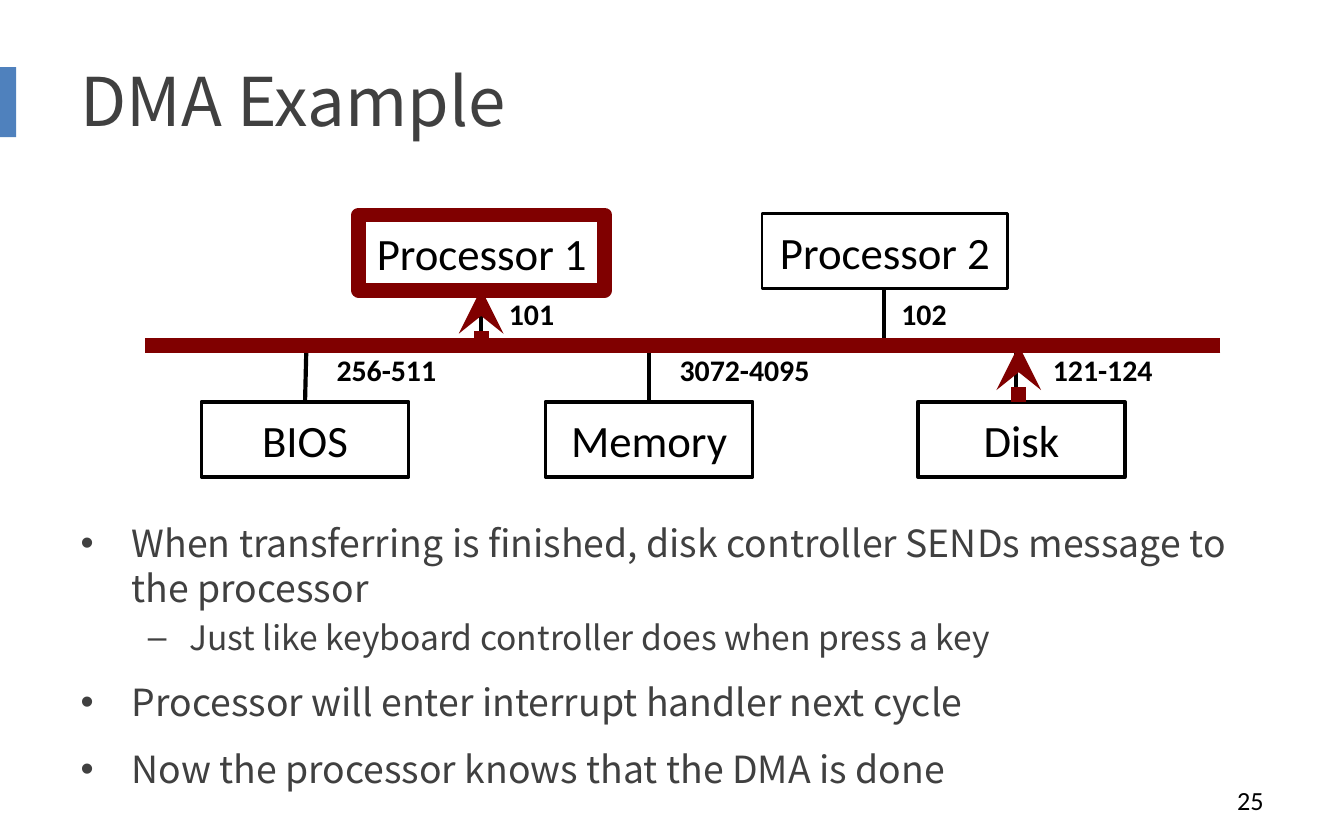
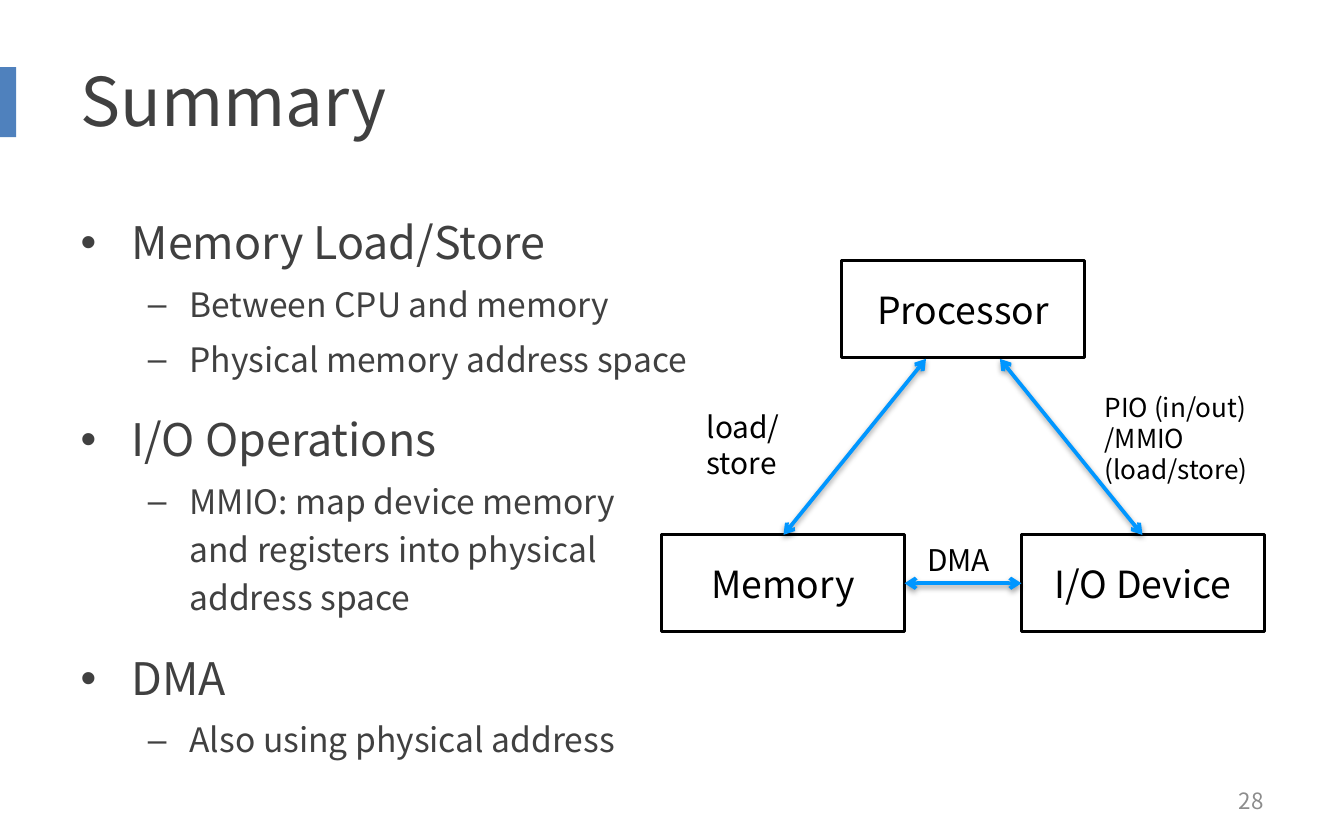
import copy

import pptx
import pptx.dml.color
import pptx.enum.shapes
import pptx.enum.text
import pptx.oxml
import pptx.oxml.ns
import pptx.util

Inches = pptx.util.Inches
Pt = pptx.util.Pt
Align = pptx.enum.text.PP_ALIGN
Anchor = pptx.enum.text.MSO_ANCHOR
qn = pptx.oxml.ns.qn

COLORS = {
    "accent": "4F81BD", "heading": "404040", "ink": "000000", "paper": "FFFFFF",
    "active": "800000", "flow": "0096FF", "muted": "8C8C8C",
}
SANS = "Noto Sans CJK SC"
LABEL = "Calibri"
SHADOW = (
    '<a:outerShdw blurRad="39370" dist="20320" dir="5400000" rotWithShape="0">'
    '<a:srgbClr val="000000"><a:alpha val="38000"/></a:srgbClr></a:outerShdw>'
)


class SlideBuilder:
    """Holds the style and the slide being built."""

    def __init__(self, deck):
        self.deck = deck
        self.page = None

    def color(self, name):
        return pptx.dml.color.RGBColor.from_string(COLORS[name])

    def new_page(self, title, number, number_style):
        self.page = self.deck.slides.add_slide(self.deck.slide_layouts[1])
        self.box(-0.06, 0.5, 0.18, 0.52, fill="accent")
        heading = self.page.shapes.title
        self.place(heading, 0.5, 0.25, 9, 0.98)
        self.set_text(heading, title, size=36, color="heading", align=Align.LEFT)
        self.label(7.17, 5.79, 2.33, 0.33, number, align=Align.RIGHT,
                   anchor=Anchor.MIDDLE, **number_style)

    def place(self, shape, left, top, width, height):
        frame = {"left": left, "top": top, "width": width, "height": height}
        for name, value in frame.items():
            setattr(shape, name, Inches(value))

    def style_para(self, para, size, color="ink", font=SANS, bold=False, **layout):
        for name, value in layout.items():
            setattr(para, name, value)
        values = {"name": font, "size": Pt(size), "bold": bold}
        for span in para.runs:
            for name, value in values.items():
                setattr(span.font, name, value)
            span.font.color.rgb = self.color(color)
        # Line breaks take the size of the text around them
        for line_break in para._p.findall(qn("a:br")):
            line_break.insert(0, copy.deepcopy(para.runs[0]._r.rPr))

    def set_text(self, shape, text, align=Align.CENTER, anchor=Anchor.MIDDLE, **style):
        frame = shape.text_frame
        frame.word_wrap = True
        frame.vertical_anchor = anchor
        frame.text = text
        for para in frame.paragraphs:
            self.style_para(para, alignment=align, **style)

    def box(self, left, top, width, height, text="", fill=None, line=None,
            weight=1.5, **style):
        box = self.page.shapes.add_shape(
            pptx.enum.shapes.MSO_SHAPE.RECTANGLE,
            Inches(left), Inches(top), Inches(width), Inches(height))
        box.shadow.inherit = False
        if fill:
            box.fill.solid()
            box.fill.fore_color.rgb = self.color(fill)
        else:
            box.fill.background()
        if line:
            box.line.color.rgb = self.color(line)
            box.line.width = Pt(weight)
        else:
            box.line.fill.background()
        if text:
            self.set_text(box, text, **style)

    def label(self, left, top, width, height, text, align=Align.LEFT,
              anchor=Anchor.TOP, **style):
        box = self.page.shapes.add_textbox(
            Inches(left), Inches(top), Inches(width), Inches(height))
        self.set_text(box, text, align=align, anchor=anchor, **style)

    def line(self, start, end, color="ink", weight=2.25, head=None, tail=None,
             shadow=""):
        line = self.page.shapes.add_connector(
            pptx.enum.shapes.MSO_CONNECTOR.STRAIGHT,
            *(Inches(value) for value in (*start, *end)))
        line.line.color.rgb = self.color(color)
        line.line.width = Pt(weight)
        for tag, kind in (("headEnd", head), ("tailEnd", tail)):
            if kind:
                line.line._ln.append(pptx.oxml.parse_xml(
                    f'<a:{tag} {pptx.oxml.ns.nsdecls("a")} type="{kind}"/>'))
        line._element.spPr.append(pptx.oxml.parse_xml(
            f'<a:effectLst {pptx.oxml.ns.nsdecls("a")}>{shadow}</a:effectLst>'))

    def bullets(self, left, top, width, height, items, size, spacing=1.0):
        body = self.page.placeholders[1]
        self.place(body, left, top, width, height)
        frame = body.text_frame
        frame.auto_size = pptx.enum.text.MSO_AUTO_SIZE.NONE
        levels = [
            {"size": size, "before": 12, "margin": 0.38, "indent": -0.38},
            {"size": 18, "before": 3.6, "margin": 0.81, "indent": -0.31},
        ]
        for index, (level, text) in enumerate(items):
            para = frame.add_paragraph() if index else frame.paragraphs[0]
            para.text = text
            look = levels[level]
            self.style_para(para, look["size"], "heading", level=level,
                            line_spacing=spacing, space_before=Pt(look["before"]))
            properties = para._p.get_or_add_pPr()
            properties.set("marL", str(Inches(look["margin"])))
            properties.set("indent", str(Inches(look["indent"])))


def build_dma_example(builder):
    builder.new_page("DMA Example", "25", {"size": 14, "font": LABEL})
    bus, device_top, processor_bottom = 2.57, 2.99, 2.15
    name_style = {"size": 24, "font": LABEL, "line": "ink"}
    address_style = {"size": 16, "font": LABEL, "bold": True, "align": Align.CENTER}

    # Bus
    builder.line((1.33, bus), (8.58, bus), weight=4.5)

    # Devices: name, box left, wire at bus, wire at box, address, address left, width
    devices = [
        ("BIOS", 1.5, 2.28, 2.27, "256-511", 2.25, 1.25),
        ("Memory", 4.06, 4.83, 4.83, "3072-4095", 4.83, 1.42),
        ("Disk", 6.83, 7.56, 7.56, "121-124", 7.58, 1.25),
    ]
    for name, left, wire_top, wire_bottom, address, address_left, width in devices:
        builder.box(left, device_top, 1.54, 0.56, name, fill="paper", weight=2,
                    **name_style)
        builder.line((wire_top, bus), (wire_bottom, device_top))
        builder.label(address_left, bus, width, 0.37, address, **address_style)

    # Processors: name, box left, box top, wire, address, address left
    processors = [
        ("Processor 1", 2.67, 1.6, 3.58, "101", 3.58),
        ("Processor 2", 5.67, 1.59, 6.58, "102", 6.5),
    ]
    for name, left, top, wire, address, address_left in processors:
        builder.box(left, top, 1.83, 0.56, name, **name_style)
        builder.line((wire, processor_bottom), (wire, bus))
        builder.label(address_left, processor_bottom, 0.75, 0.37, address,
                      **address_style)

    # Message from the disk to processor 1
    message = {"color": "active", "weight": 8}
    builder.line((9.08, bus), (1.08, bus), **message)
    builder.box(2.67, 1.6, 1.83, 0.56, line="active", weight=8)
    builder.line((3.58, bus), (3.58, processor_bottom), tail="stealth", **message)
    builder.line((7.58, device_top), (7.58, bus), tail="stealth", **message)

    builder.bullets(0.5, 3.82, 9.08, 2.43, [
        (0, "When transferring is finished, disk controller SENDs message to "
            "the processor"),
        (1, "Just like keyboard controller does when press a key"),
        (0, "Processor will enter interrupt handler next cycle"),
        (0, "Now the processor knows that the DMA is done"),
    ], size=20)


def build_summary(builder):
    builder.new_page("Summary", "28", {"size": 12, "color": "muted"})

    # Components
    components = [("Processor", 6.26, 1.94), ("Memory", 4.92, 3.98),
                  ("I/O Device", 7.6, 3.98)]
    for name, left, top in components:
        builder.box(left, top, 1.81, 0.72, name, line="ink", size=20)

    # Data flows
    flows = [((5.83, 3.98), (6.89, 2.67)), ((7.44, 2.67), (8.5, 3.98)),
             ((6.73, 4.34), (7.6, 4.34))]
    for start, end in flows:
        builder.line(start, end, color="flow", weight=2, head="arrow",
                     tail="arrow", shadow=SHADOW)
    builder.label(5.16, 2.99, 1.19, 0.37, "load/store", size=16)
    builder.label(8.12, 2.86, 1.85, 0.57, "PIO (in/out)\n/MMIO (load/store)", size=14)
    builder.label(6.8, 3.98, 0.69, 0.37, "DMA", size=16)

    builder.bullets(0.5, 1.47, 5.37, 4.43, [
        (0, "Memory Load/Store"),
        (1, "Between CPU and memory"),
        (1, "Physical memory address space"),
        (0, "I/O Operations"),
        (1, "MMIO: map device memory \nand registers into physical \naddress space"),
        (0, "DMA"),
        (1, "Also using physical address"),
    ], size=24, spacing=1.2)


def main():
    deck = pptx.Presentation()
    deck.slide_width = Inches(10)
    deck.slide_height = Inches(6.25)
    builder = SlideBuilder(deck)
    build_dma_example(builder)
    build_summary(builder)
    deck.save("out.pptx")


if __name__ == "__main__":
    main()
